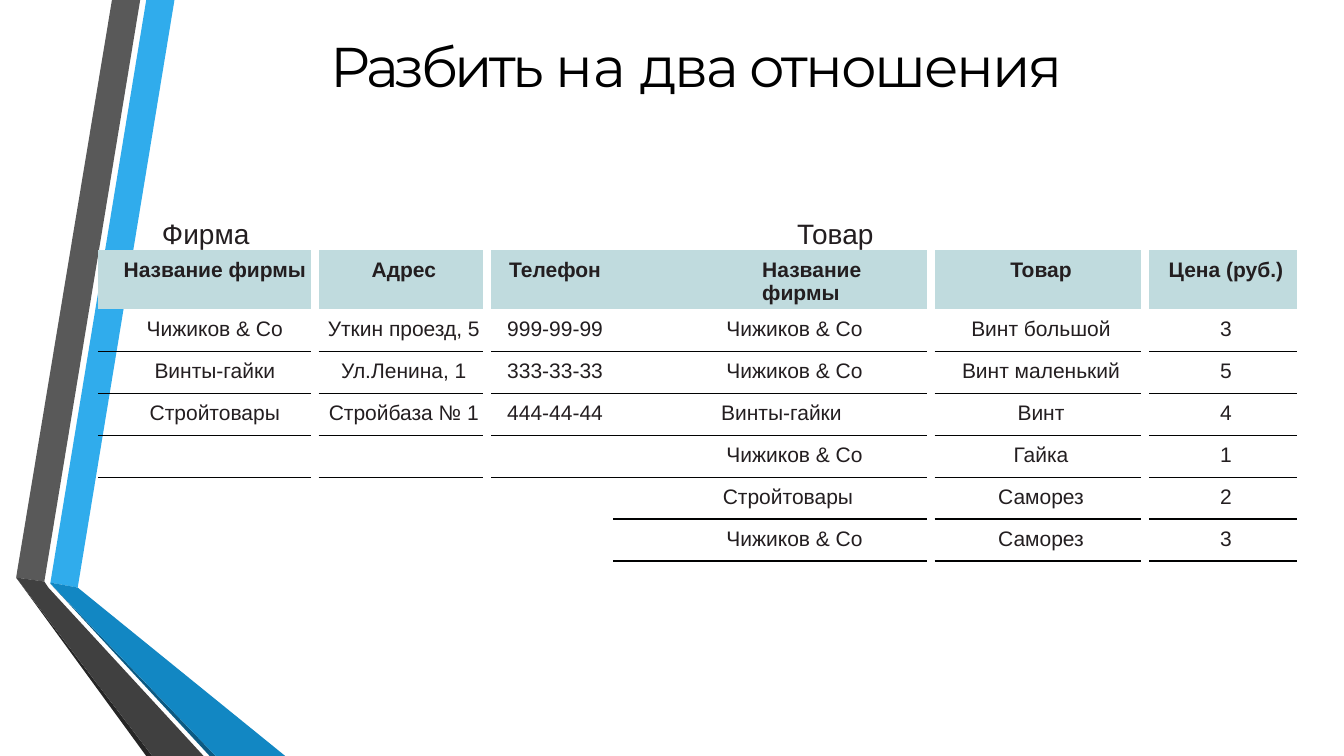
from lxml import etree
from pptx import Presentation
from pptx.dml.color import RGBColor
from pptx.enum.text import MSO_ANCHOR, PP_ALIGN
from pptx.oxml.ns import qn
from pptx.util import Inches, Pt

CENTER = PP_ALIGN.CENTER
LEFT = PP_ALIGN.LEFT
MIDDLE = MSO_ANCHOR.MIDDLE
TOP = MSO_ANCHOR.TOP
PLAIN_TABLE = "{2D5ABB26-0587-4C30-8999-92F81FD0307C}"

RIBBONS = [
    ("30ACEC", [(3.75, 77.07), (5.78, 77.73), (12.98, 0), (10.88, 0)]),
    ("595959", [(10.43, 0), (8.33, 0), (1.2, 76.4), (3.3, 76.93)]),
    ("262626", [(1.2, 76.4), (10.88, 100), (11.33, 100)]),
    ("0C5A82", [(3.75, 77.2), (15.6, 100), (16.05, 100)]),
    ("1287C3", [(3.75, 77.2), (16.05, 100), (21.22, 100), (5.78, 77.73), (3.75, 77.07)]),
    ("404040", [(15.15, 100), (3.6, 77.73), (3.3, 76.93), (1.2, 76.4), (11.33, 100)]),
]

GAP = 0.6
COLUMN_WIDTHS = [15.83, GAP, 12.23, GAP, 9.08, 23.33, GAP, 15.38, GAP, 10.95]
ROW_HEIGHTS = [6.72, 7.8] + [5.55] * 6
FIRM_COLUMNS = [0, 2, 4]
PRODUCT_COLUMNS = [5, 7, 9]
FIRM_INDENT = 1.58
NAME_INDENT = 3.68
INDENT = 0.45

FIRM_HEADERS = ["Название фирмы", "Адрес", "Телефон"]
FIRMS = [
    ["Чижиков & Co", "Уткин проезд, 5", "999-99-99"],
    ["Винты-гайки", "Ул.Ленина, 1", "333-33-33"],
    ["Стройтовары", "Стройбаза № 1", "444-44-44"],
    ["", "", ""],
]
PRODUCT_HEADERS = ["Название фирмы", "Товар", "Цена (руб.)"]
PRODUCTS = [
    ["Чижиков & Co", "Винт большой", "3"],
    ["Чижиков & Co", "Винт маленький", "5"],
    ["Винты-гайки", "Винт", "4"],
    ["Чижиков & Co", "Гайка", "1"],
    ["Стройтовары", "Саморез", "2"],
    ["Чижиков & Co", "Саморез", "3"],
]
NAME_INDENTS = {"Винты-гайки": 1.73, "Стройтовары": 2.7}


def color(value):
    return RGBColor.from_string(value)


class SlideBuilder:
    text_font = "Arial"
    title_font = "Montserrat"
    ink = "231E20"
    title_ink = "000000"
    header_fill = "C0DBDE"
    rule = "010202"

    def __init__(self, presentation):
        self.width = presentation.slide_width
        self.height = presentation.slide_height
        self.slide = presentation.slides.add_slide(presentation.slide_layouts[5])

    def across(self, percent):
        return round(self.width * percent / 100)

    def down(self, percent):
        return round(self.height * percent / 100)

    def ribbon(self, fill, points):
        corners = [(self.across(x), self.down(y)) for x, y in points]
        builder = self.slide.shapes.build_freeform(*corners[0])
        builder.add_line_segments(corners[1:], close=True)
        shape = builder.convert_to_shape()
        shape.fill.solid()
        shape.fill.fore_color.rgb = color(fill)
        shape.line.fill.background()
        shape.shadow.inherit = False

    def format_run(self, run, font, size, ink, bold=False):
        run.font.name = font
        run.font.size = Pt(size)
        run.font.bold = bold
        run.font.color.rgb = color(ink)

    def title(self, left, top, width, height, pieces):
        shape = self.slide.shapes.title
        shape.left, shape.top = self.across(left), self.down(top)
        shape.width, shape.height = self.across(width), self.down(height)
        frame = shape.text_frame
        frame.margin_left = frame.margin_top = 0
        frame.margin_right = frame.margin_bottom = 0
        frame.vertical_anchor = MIDDLE
        paragraph = frame.paragraphs[0]
        paragraph.alignment = CENTER
        for text, spacing in pieces:
            run = paragraph.add_run()
            run.text = text
            self.format_run(run, self.title_font, 40, self.title_ink)
            run.font._element.set("spc", str(round(spacing * 100)))

    def table(self, left, top, column_widths, row_heights):
        frame = self.slide.shapes.add_table(
            len(row_heights), len(column_widths), self.across(left), self.down(top),
            self.across(sum(column_widths)), self.down(sum(row_heights)))
        table = frame.table
        table.first_row = False
        table.horz_banding = False
        table._tbl.tblPr.find(qn("a:tableStyleId")).text = PLAIN_TABLE
        for column, width in zip(table.columns, column_widths):
            column.width = self.across(width)
        for row, height in zip(table.rows, row_heights):
            row.height = self.down(height)
        for cell in table.iter_cells():
            cell.fill.background()
            cell.margin_left = cell.margin_right = 0
            cell.margin_top = cell.margin_bottom = 0
            cell.vertical_anchor = TOP
        return table

    def cell_text(self, cell, text, indent, size=15, bold=False, alignment=CENTER):
        cell.text_frame.text = text
        paragraph = cell.text_frame.paragraphs[0]
        paragraph.alignment = alignment
        properties = paragraph._p.get_or_add_pPr()
        properties.set("marL", str(self.across(indent)))
        properties.set("indent", "0")
        for run in paragraph.runs:
            self.format_run(run, self.text_font, size, self.ink, bold)
        return paragraph

    def caption(self, cell, text, indent):
        self.cell_text(cell, text, indent, size=20).line_spacing = Pt(36.3)

    def header(self, cell, text, indent, alignment=CENTER):
        cell.margin_top = Inches(0.08)
        self.cell_text(cell, text, indent, bold=True, alignment=alignment)
        cell.fill.solid()
        cell.fill.fore_color.rgb = color(self.header_fill)

    def entry(self, cell, text, indent):
        cell.margin_top = Inches(0.08)
        self.cell_text(cell, text, indent)
        border = etree.Element(qn("a:lnB"), w=str(Pt(1)))
        fill = etree.SubElement(border, qn("a:solidFill"))
        etree.SubElement(fill, qn("a:srgbClr"), val=self.rule)
        cell._tc.get_or_add_tcPr().insert(0, border)


def main():
    presentation = Presentation()
    presentation.slide_width = Inches(13.33)
    presentation.slide_height = Inches(7.5)
    builder = SlideBuilder(presentation)

    for fill, points in RIBBONS:
        builder.ribbon(fill, points)
    builder.title(13.95, 4.13, 75.75, 9.07,
                  [("Разбить ", -2.4), ("на ", -0.2), ("два отношения", -1.6)])

    table = builder.table(7.28, 26.4, COLUMN_WIDTHS, ROW_HEIGHTS)
    table.cell(0, 6).merge(table.cell(0, 9))
    builder.caption(table.cell(0, 0), "Фирма", 0.23)
    builder.caption(table.cell(0, 5), "Товар", 9.75)

    for column, text in zip(FIRM_COLUMNS, FIRM_HEADERS):
        builder.header(table.cell(1, column), text, INDENT if column else FIRM_INDENT)
    for column, text in zip(PRODUCT_COLUMNS, PRODUCT_HEADERS):
        is_name = column == PRODUCT_COLUMNS[0]
        builder.header(table.cell(1, column), text, 11.1 if is_name else INDENT,
                       LEFT if is_name else CENTER)

    for row, firm in enumerate(FIRMS, start=2):
        for column, text in zip(FIRM_COLUMNS, firm):
            builder.entry(table.cell(row, column), text, INDENT if column else FIRM_INDENT)
    for row, product in enumerate(PRODUCTS, start=2):
        indents = [NAME_INDENTS.get(product[0], NAME_INDENT), INDENT, INDENT]
        for column, text, indent in zip(PRODUCT_COLUMNS, product, indents):
            builder.entry(table.cell(row, column), text, indent)

    presentation.save("out.pptx")


if __name__ == "__main__":
    main()
